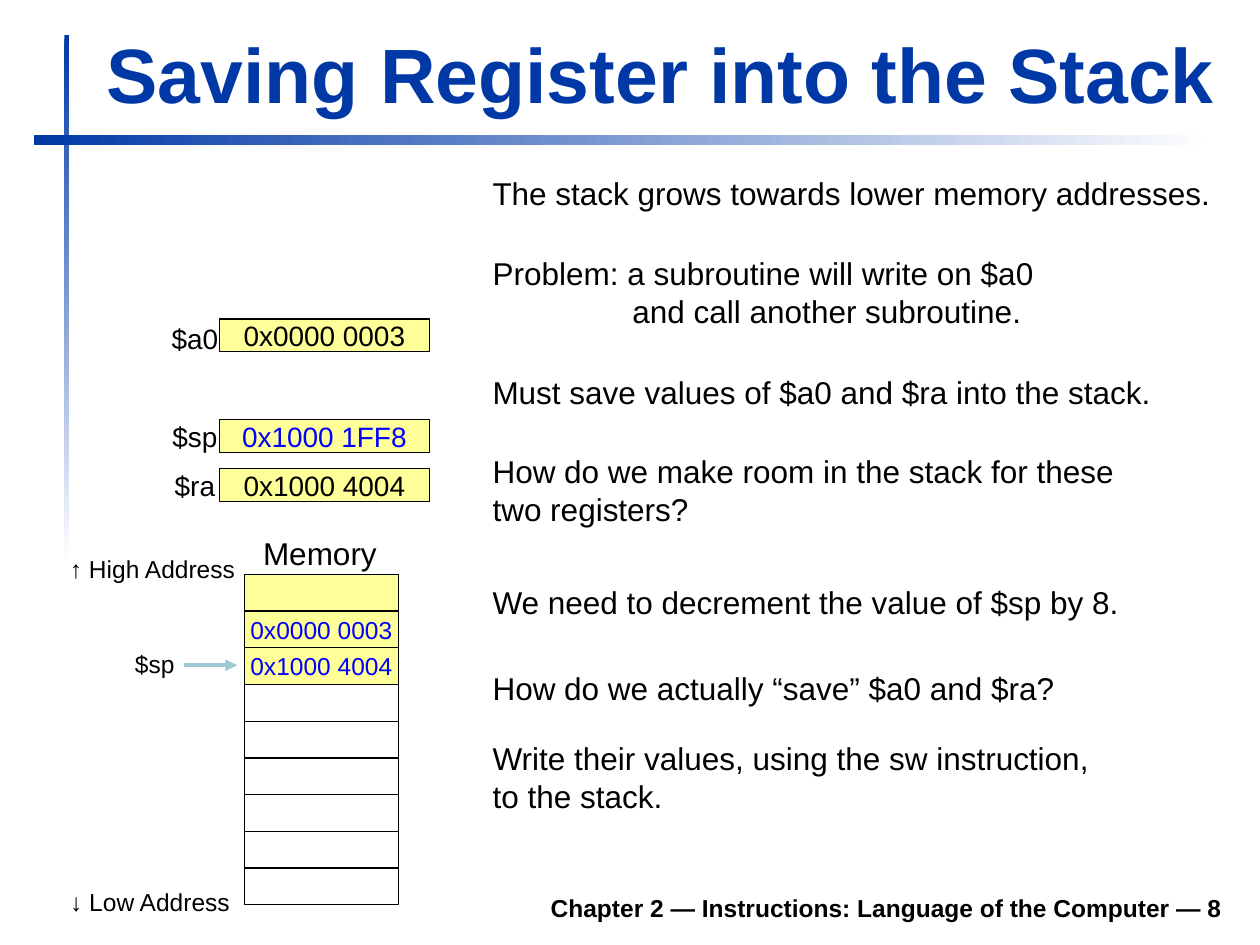
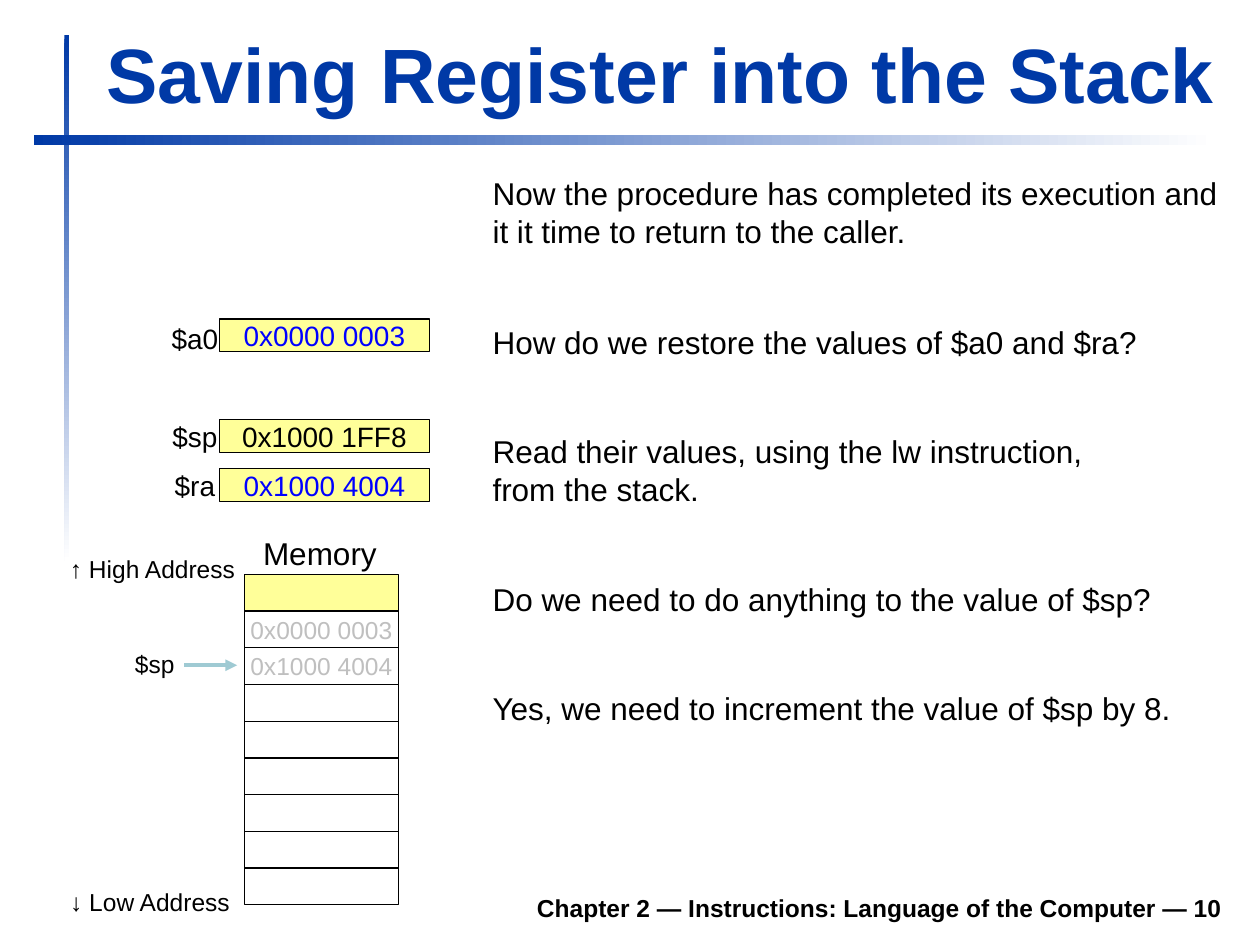
"""Builds two slides on saving registers to the stack and restoring them."""
from lxml import etree
from pptx import Presentation
from pptx.dml.color import RGBColor
from pptx.enum.shapes import MSO_CONNECTOR, MSO_SHAPE
from pptx.enum.text import MSO_ANCHOR, PP_ALIGN
from pptx.oxml.ns import qn
from pptx.util import Cm, Pt

BLUE = RGBColor(0x00, 0x39, 0xA6)
YELLOW = RGBColor(0xFF, 0xFF, 0x99)
WHITE = RGBColor(0xFF, 0xFF, 0xFF)
BLACK = RGBColor(0x00, 0x00, 0x00)
CHANGED = RGBColor(0x00, 0x00, 0xFF)
STALE = RGBColor(0xBF, 0xBF, 0xBF)
ARROW = RGBColor(0x9F, 0xCA, 0xD3)

RECT, STRAIGHT = MSO_SHAPE.RECTANGLE, MSO_CONNECTOR.STRAIGHT
LEFT, CENTER, RIGHT = PP_ALIGN.LEFT, PP_ALIGN.CENTER, PP_ALIGN.RIGHT
TOP, MIDDLE, BOTTOM = MSO_ANCHOR.TOP, MSO_ANCHOR.MIDDLE, MSO_ANCHOR.BOTTOM

FONT = "Arial"
TITLE = "Saving Register into the Stack"
FOOTER = "Chapter 2 — Instructions: Language of the Computer — {}"

# name, value, label top, box top
REGISTERS = [
    ("$a0", "0x0000 0003", 6.35, 6.43),
    ("$sp", "0x1000 1FF8", 8.33, 8.46),
    ("$ra", "0x1000 4004", 9.32, 9.45),
]
SAVED_WORDS = ["0x0000 0003", "0x1000 4004"]
MEMORY_CELLS = 9
MEMORY_LABELS = [
    ("Memory", 5.05, 10.64, 2.8, 1.02, 18),
    ("↑ High Address", 1.12, 11.05, 3.91, 0.84, 14),
    ("↓ Low Address", 1.12, 17.75, 3.81, 0.84, 14),
    ("$sp", 2.46, 12.95, 1.32, 0.84, 14),
]

SLIDES = [
    {
        "number": 8,
        "changed": {"$sp"},
        "saved_fill": YELLOW,
        "saved_color": CHANGED,
        "notes": [
            (3.38, ["The stack grows towards lower memory addresses."]),
            (5.0, ["Problem: a subroutine will write on $a0",
                   "and call another subroutine."]),
            (7.39, ["Must save values of $a0 and $ra into the stack."]),
            (8.99, ["How do we make room in the stack for these", "two registers?"]),
            (11.63, ["We need to decrement the value of $sp by 8."]),
            (13.36, ["How do we actually “save” $a0 and $ra?"]),
            (14.78, ["Write their values, using the sw instruction,", "to the stack."]),
        ],
        "indents": {"and call another subroutine.": 2.82},
    },
    {
        "number": 10,
        "changed": {"$a0", "$ra"},
        "saved_fill": WHITE,
        "saved_color": STALE,
        "notes": [
            (3.38, ["Now the procedure has completed its execution and",
                    "it it time to return to the caller."]),
            (6.38, ["How do we restore the values of $a0 and $ra?"]),
            (8.59, ["Read their values, using the lw instruction,", "from the stack."]),
            (11.56, ["Do we need to do anything to the value of $sp?"]),
            (13.77, ["Yes, we need to increment the value of $sp by 8."]),
        ],
        "indents": {},
    },
]


def write(frame, lines, size, color=BLACK, align=CENTER, anchor=MIDDLE,
          bold=False, wrap=False, indents=None):
    frame.word_wrap = wrap
    frame.vertical_anchor = anchor
    for i, line in enumerate(lines):
        paragraph = frame.add_paragraph() if i else frame.paragraphs[0]
        paragraph.alignment = align
        if indents and line in indents:
            paragraph._p.get_or_add_pPr().set("marL", str(Cm(indents[line])))
        run = paragraph.add_run()
        run.text = line
        run.font.name = FONT
        run.font.size = Pt(size)
        run.font.bold = bold
        run.font.color.rgb = color


def add_text(slide, lines, left, top, width, height, size, **style):
    box = slide.shapes.add_textbox(Cm(left), Cm(top), Cm(width), Cm(height))
    write(box.text_frame, lines, size, **style)


def add_rect(slide, left, top, width, height):
    rect = slide.shapes.add_shape(RECT, Cm(left), Cm(top), Cm(width), Cm(height))
    rect.shadow.inherit = False
    return rect


def add_band(slide, left, top, width, height, angle):
    band = add_rect(slide, left, top, width, height)
    band.line.fill.background()
    band.fill.gradient()
    band.fill.gradient_angle = angle
    for stop, color in zip(band.fill.gradient_stops, (BLUE, WHITE)):
        stop.color.rgb = color
        stop.position = 0 if color == BLUE else 1


def add_cell(slide, left, top, width, height, fill, value=None, size=16, color=BLACK):
    cell = add_rect(slide, left, top, width, height)
    cell.fill.solid()
    cell.fill.fore_color.rgb = fill
    cell.line.color.rgb = BLACK
    cell.line.width = Pt(0.75)
    if value:
        write(cell.text_frame, [value], size, color)


def add_frame(slide, number):
    add_band(slide, 1.3, 0.71, 0.1, 10.6, 270)
    add_band(slide, 0.69, 2.72, 23.8, 0.2, 0)
    add_text(slide, [TITLE], 1.9, 0.41, 22.94, 2.11, 44, color=BLUE,
             align=LEFT, anchor=BOTTOM, bold=True, wrap=True)
    add_text(slide, [FOOTER.format(number)], 4.7, 17.73, 20.19, 0.99, 14,
             align=RIGHT, anchor=BOTTOM, bold=True, wrap=True)


def add_registers(slide, changed):
    for name, value, label_top, box_top in REGISTERS:
        add_text(slide, [name], 3.2, label_top, 1.46, 0.94, 16)
        add_cell(slide, 4.42, box_top, 4.24, 0.66, YELLOW, value,
                 color=CHANGED if name in changed else BLACK)


def add_memory(slide, saved_fill, saved_color):
    for label, left, top, width, height, size in MEMORY_LABELS:
        add_text(slide, [label], left, top, width, height, size)
    height = 0.74
    cells = [(YELLOW, None)] + [(saved_fill, word) for word in SAVED_WORDS]
    cells += [(WHITE, None)] * (MEMORY_CELLS - len(cells))
    for i, (fill, word) in enumerate(cells):
        add_cell(slide, 4.93, 11.58 + i * height, 3.1, height, fill, word, 14, saved_color)


def add_pointer(slide):
    pointer = slide.shapes.add_connector(STRAIGHT, Cm(3.71), Cm(13.41), Cm(4.78), Cm(13.41))
    pointer.line.color.rgb = ARROW
    pointer.line.width = Pt(2.25)
    properties = pointer._element.spPr
    etree.SubElement(properties.find(qn("a:ln")), qn("a:tailEnd"), type="triangle")
    etree.SubElement(properties, qn("a:effectLst"))


def main():
    deck = Presentation()
    deck.slide_width, deck.slide_height = Cm(25.4), Cm(19.05)
    for content in SLIDES:
        slide = deck.slides.add_slide(deck.slide_layouts[6])
        add_frame(slide, content["number"])
        add_registers(slide, content["changed"])
        add_memory(slide, content["saved_fill"], content["saved_color"])
        add_pointer(slide)
        for top, lines in content["notes"]:
            add_text(slide, lines, 9.68, top, 15.5, 0.23 + 0.79 * len(lines), 18,
                     align=LEFT, anchor=TOP, wrap=True, indents=content["indents"])
    deck.save("out.pptx")


if __name__ == "__main__":
    main()
